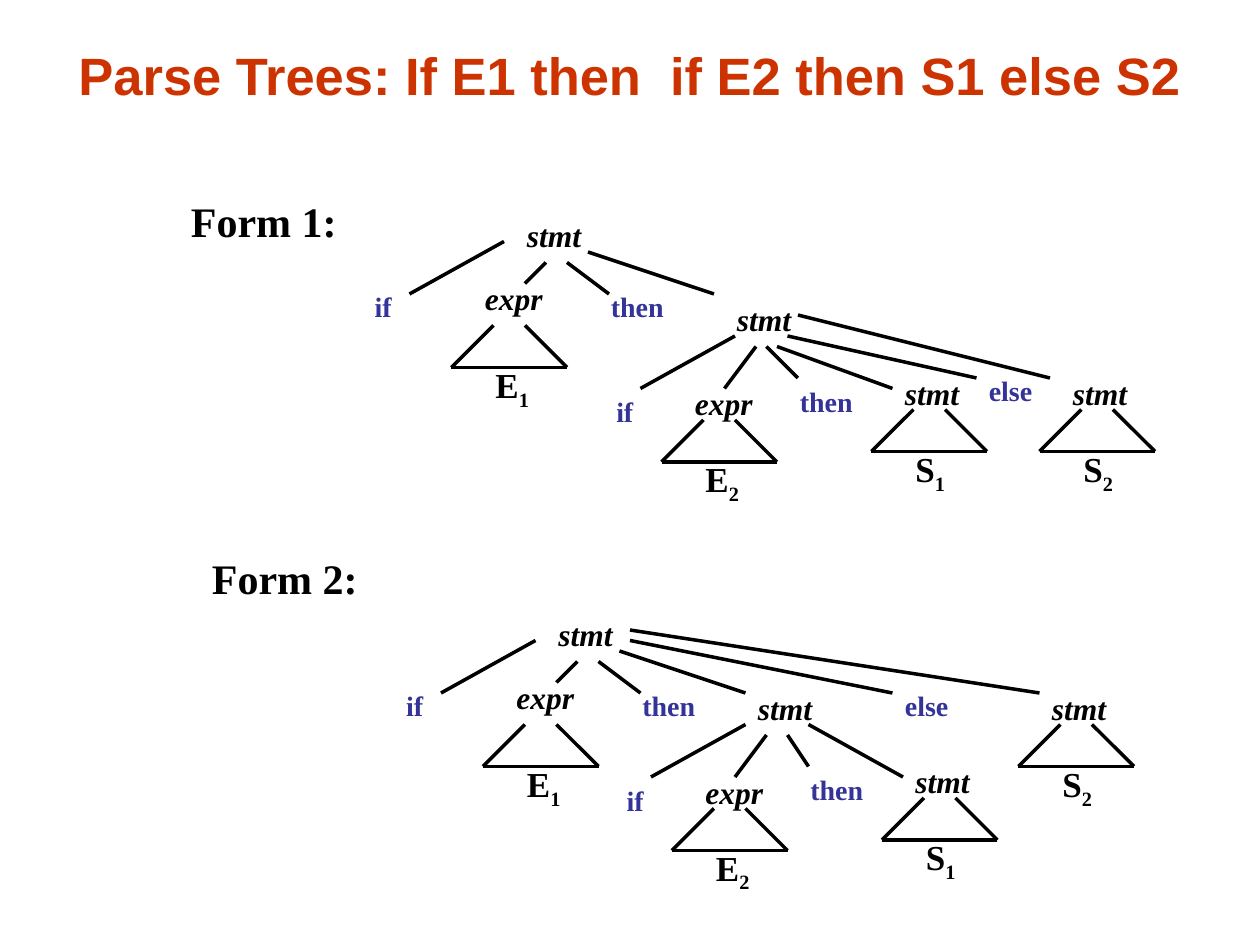
from dataclasses import dataclass

from lxml.etree import SubElement
from pptx import Presentation
from pptx.dml.color import RGBColor
from pptx.enum.shapes import MSO_CONNECTOR
from pptx.enum.text import MSO_ANCHOR, MSO_AUTO_SIZE, PP_ALIGN
from pptx.oxml.ns import qn
from pptx.util import Cm, Pt

COLORS = {"title": "CC3300", "ink": "000000", "token": "333399"}
SERIF = "Times New Roman"
GRID = 2.54 / 12


@dataclass(frozen=True)
class Style:
    size: int
    width: float
    height: float
    color: str = "ink"
    italic: bool = False


HEAD = Style(24, 27, 6)
RULE = Style(18, 9, 4.8, italic=True)
TOKEN = Style(16, 9, 4.4, "token")
LEAF = Style(20, 6, 5.2)


@dataclass(frozen=True)
class Word:
    text: str
    x: int
    y: int
    style: Style = RULE
    sub: str = ""


@dataclass(frozen=True)
class Edge:
    x: int
    y: int
    end_x: int
    end_y: int


@dataclass(frozen=True)
class Fan:
    text: str
    sub: str
    x: int
    y: int


@dataclass(frozen=True)
class Form:
    title: Word
    outer: tuple[int, int]
    inner: tuple[int, int]
    extra: list


OUTER = [
    Word("stmt", 0, 0), Word("expr", -4, 6),
    Word("if", -17, 7, TOKEN), Word("then", 8, 7, TOKEN),
    Edge(-1, 3, -10, 8), Edge(3, 5, 1, 7), Edge(5, 5, 9, 8),
    Fan("E", "1", -6, 11),
]
INNER = [
    Word("expr", -4, 8),
    Word("if", -14, 9, TOKEN), Word("then", 6, 8, TOKEN),
    Edge(1, 4, -8, 9), Edge(3, 5, 0, 9),
    Fan("E", "2", -6, 12),
]
FORMS = [
    Form(Word("Form 1:", 17, 18, HEAD), (49, 20), (69, 28), [
        Word("stmt", 69, 28), Word("stmt", 85, 35), Word("stmt", 101, 35),
        Word("else", 93, 35, TOKEN),
        Edge(56, 24, 68, 28), Edge(73, 33, 76, 36), Edge(74, 33, 85, 37),
        Edge(75, 32, 93, 36), Edge(76, 30, 100, 36),
        Fan("S", "1", 83, 39), Fan("S", "2", 99, 39),
    ]),
    Form(Word("Form 2:", 19, 52, HEAD), (52, 58), (70, 65), [
        Word("stmt", 71, 65), Word("stmt", 86, 72), Word("stmt", 99, 65),
        Word("else", 85, 65, TOKEN),
        Edge(59, 62, 71, 66), Edge(60, 61, 85, 66), Edge(60, 60, 99, 66),
        Edge(75, 70, 77, 73), Edge(77, 69, 86, 74),
        Fan("S", "1", 84, 76), Fan("S", "2", 97, 69),
    ]),
]


def step(count: float) -> int:
    return Cm(count * GRID)


def paint(font, name: str, size: int, color: str, italic: bool = False) -> None:
    font.name = name
    font.size = Pt(size)
    font.bold = True
    font.italic = italic
    font.color.rgb = RGBColor.from_string(COLORS[color])


def write(shapes, word: Word, left: int = 0, top: int = 0) -> None:
    style = word.style
    box = shapes.add_textbox(step(left + word.x), step(top + word.y),
                             step(style.width), step(style.height))
    frame = box.text_frame
    frame.word_wrap = True
    frame.auto_size = MSO_AUTO_SIZE.SHAPE_TO_FIT_TEXT
    line = frame.paragraphs[0]
    line.text = word.text
    if word.text == "if":
        line.alignment = PP_ALIGN.CENTER
    if word.sub:
        index = line.add_run()
        index.text = word.sub
        index.font._element.set("baseline", "-25000")
    for run in line.runs:
        paint(run.font, SERIF, style.size, style.color, style.italic)


def link(shapes, edge: Edge, left: int = 0, top: int = 0) -> None:
    line = shapes.add_connector(
        MSO_CONNECTOR.STRAIGHT,
        step(left + edge.x), step(top + edge.y),
        step(left + edge.end_x), step(top + edge.end_y))
    line.line.width = Pt(2)
    line.line.color.rgb = RGBColor.from_string(COLORS["ink"])
    SubElement(line._element.spPr, qn("a:effectLst"))


def spread(shapes, fan: Fan, left: int = 0, top: int = 0) -> None:
    for side in (Edge(4, 0, 0, 4), Edge(7, 0, 11, 4), Edge(0, 4, 11, 4)):
        link(shapes, side, left + fan.x, top + fan.y)
    write(shapes, Word(fan.text, 3, 3, LEAF, fan.sub), left + fan.x, top + fan.y)


DRAW = {Word: write, Edge: link, Fan: spread}


def grow(shapes, parts: list, left: int = 0, top: int = 0) -> None:
    for part in parts:
        DRAW[type(part)](shapes, part, left, top)


def main() -> None:
    deck = Presentation()
    deck.slide_width, deck.slide_height = Cm(25.4), Cm(19.05)
    slide = deck.slides.add_slide(deck.slide_layouts[5])

    title = slide.shapes.title
    title.left, title.top = step(6), step(3)
    title.width, title.height = step(108), step(14)
    frame = title.text_frame
    frame.text = "Parse Trees: If E1 then  if E2 then S1 else S2"
    frame.auto_size = MSO_AUTO_SIZE.NONE
    frame.vertical_anchor = MSO_ANCHOR.MIDDLE
    frame.margin_bottom = Cm(1.35)
    paint(frame.paragraphs[0].runs[0].font, "Arial", 30, "title")

    for form in FORMS:
        write(slide.shapes, form.title)
        tree = slide.shapes.add_group_shape().shapes
        grow(tree, OUTER, *form.outer)
        grow(tree, INNER, *form.inner)
        grow(tree, form.extra)

    deck.save("out.pptx")


if __name__ == "__main__":
    main()
